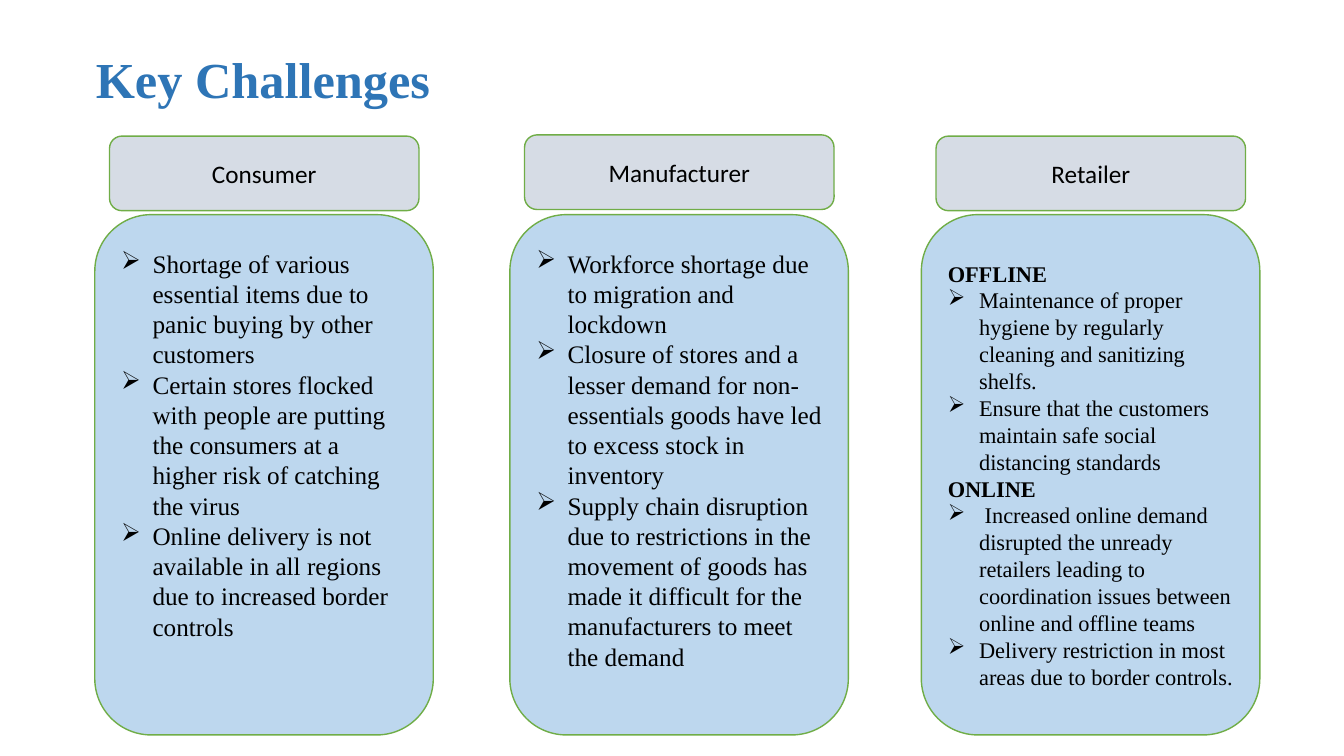
from lxml.etree import SubElement as Sub
from pptx import Presentation
from pptx.dml.color import RGBColor as RGB
from pptx.enum.shapes import MSO_SHAPE as Kind
from pptx.enum.text import MSO_ANCHOR as Anchor, PP_ALIGN as Align
from pptx.oxml.ns import qn
from pptx.util import Cm, Pt

HUES = {"title": "2E75B6", "head": "D6DCE5", "card": "BDD7EE", "edge": "70AD47", "text": "000000"}
SERIF = "Times New Roman"


def add_card(left, top, width, height, hue):
    card = slide.shapes.add_shape(Kind.ROUNDED_RECTANGLE, Cm(left), Cm(top), Cm(width), Cm(height))
    card.shadow.inherit = False
    card.fill.solid()
    card.fill.fore_color.rgb = RGB.from_string(HUES[hue])
    card.line.color.rgb = RGB.from_string(HUES["edge"])
    card.line.width = Pt(1)
    card.text_frame.word_wrap = True
    card.text_frame.vertical_anchor = Anchor.MIDDLE
    return card.text_frame


def add_run(para, text, size, face=SERIF, hue="text", bold=False):
    run = para.add_run()
    run.text = text
    run.font.size = Pt(size)
    run.font.name = face
    run.font.bold = bold
    run.font.color.rgb = RGB.from_string(HUES[hue])


deck = Presentation()
deck.slide_width = Cm(33.87)
deck.slide_height = Cm(19.05)
slide = deck.slides.add_slide(deck.slide_layouts[5])

title = slide.shapes.title
title.left, title.top, title.width, title.height = Cm(2.16), Cm(0.76), Cm(29.21), Cm(2.64)
title.text_frame.vertical_anchor = Anchor.MIDDLE
para = title.text_frame.paragraphs[0]
para.alignment = Align.LEFT
para.line_spacing = 0.9
add_run(para, "Key Challenges", 36, hue="title", bold=True)

groups = [
    ("Consumer", 2.39, 3.43, 18, 1.65, [
        "Shortage of various essential items due to panic buying by other customers",
        "Certain stores flocked with people are putting the consumers at a higher risk of catching the virus",
        "Online delivery is not available in all regions due to increased border controls",
    ]),
    ("Manufacturer", 12.85, 3.4, 18, 0.89, [
        "Workforce shortage due to migration and lockdown",
        "Closure of stores and a lesser demand for non-essentials goods have led to excess stock in inventory",
        "Supply chain disruption due to restrictions in the movement of goods has made it difficult "
        "for the manufacturers to meet the demand",
    ]),
    ("Retailer", 23.22, 3.43, 16, 0.13, [
        "OFFLINE",
        "Maintenance of proper hygiene by regularly cleaning and sanitizing shelfs.",
        "Ensure that the customers maintain safe social distancing standards",
        "ONLINE",
        " Increased online demand disrupted the unready retailers leading to coordination issues "
        "between online and offline teams",
        "Delivery restriction in most areas due to border controls.",
    ]),
]

for name, left, top, size, foot, items in groups:
    para = add_card(left + 0.37, top, 7.8, 1.88, "head").paragraphs[0]
    para.alignment = Align.CENTER
    add_run(para, name, 18, "Calibri")

    frame = add_card(left, 5.41, 8.53, 13.11, "card")
    frame.margin_bottom = Cm(foot)
    for i, item in enumerate(items):
        para = frame.add_paragraph() if i else frame.paragraphs[0]
        para.alignment = Align.LEFT
        if not item.isupper():
            props = para._p.get_or_add_pPr()
            props.set("marL", str(Cm(0.79)))
            props.set("indent", str(-Cm(0.79)))
            Sub(props, qn("a:buChar")).set("char", "➢")
        add_run(para, item, size, bold=item.isupper())

deck.save("out.pptx")
